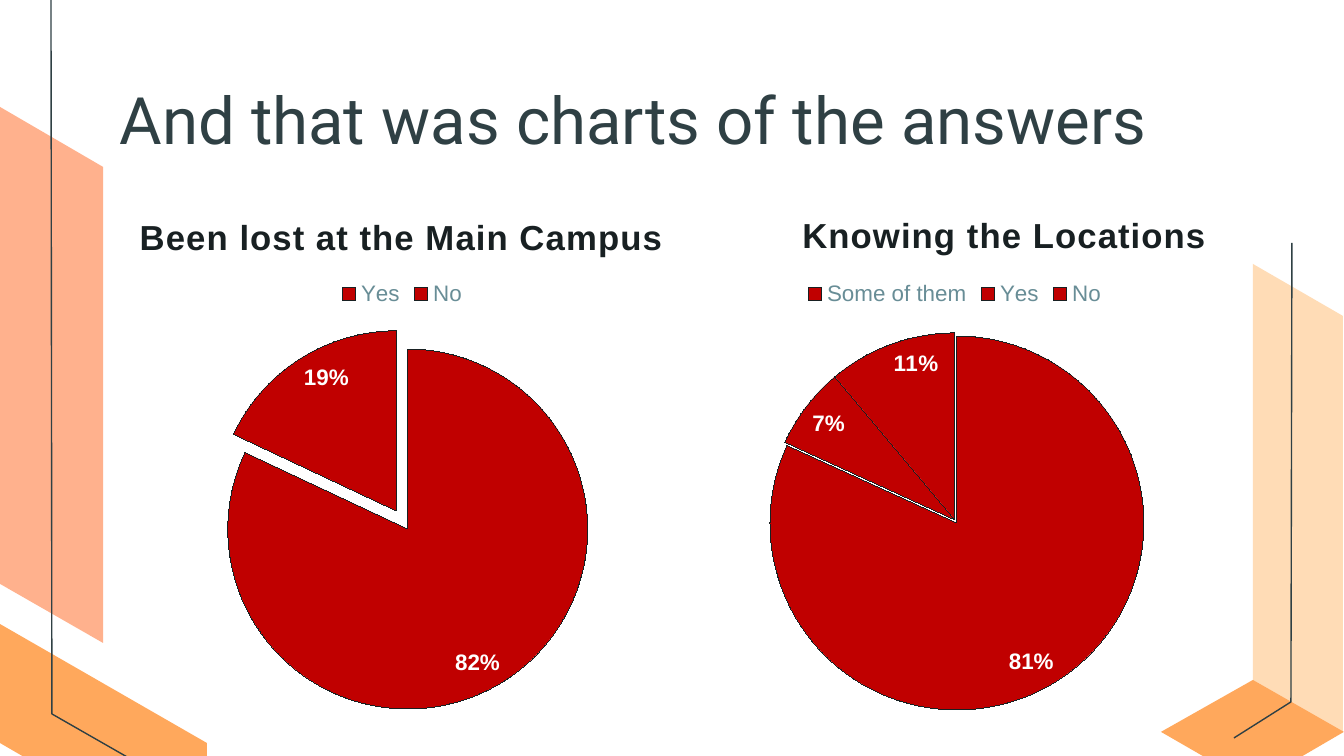
from pptx import Presentation
from pptx.chart.data import CategoryChartData
from pptx.dml.color import RGBColor
from pptx.enum import chart as ch, text
from pptx.oxml import parse_xml
from pptx.oxml.ns import nsdecls
from pptx.util import Pt

PX = 914400 / 134.4
INK, DARK, MUTED, RED, WHITE = "2F4044", "182022", "688D96", "C00000", "FFFFFF"

TITLE = ("And that was charts of the answers", (106, 79, 1133, 77))

# fill, corner points
PANELS = [
    ("FFDCB6", [(1253, 264), (1253, 680), (1343, 732), (1343, 316)]),
    ("FFA85C", [(1253, 785), (1344, 732), (1253, 680), (1161, 732)]),
    ("FFB18D", [(0, 107), (0, 584), (103, 643), (103, 167)]),
    ("FFA85C", [(0, 743), (0, 624), (207, 743), (207, 863)]),
]
LINES = [
    [(1234, 738), (1291, 702), (1292, 243)],
    [(51, -32), (52, 714), (267, 837)],
]
# title_at, legend_at and pie are slide positions; explode is per slice;
# label replaces the computed percentage of one slice (index, text)
CHARTS = [
    dict(title="Been lost at the Main Campus", series="Been lost at the Main Campus",
         data={"Yes": 82, "No": 18}, explode=(6, 6), label=(1, "19%"),
         box=(23, 190, 757, 540),
         title_at=None, legend_at=(335, 277), pie=(222, 340, 360, 360)),
    dict(title="Knowing the Locations", series="Series 1",
         data={"Some of them": 81, "Yes": 7, "No": 11}, explode=(2, 0, 0),
         label=(0, "81%"), box=(672, 190, 566, 540),
         title_at=(796, 206), legend_at=(801, 277), pie=(768, 333, 374, 374)),
]


def px(*values):
    return [round(v * PX) for v in values]


def rgb(color):
    return RGBColor.from_string(color)


def set_font(font, size, color, name="Arial", bold=False):
    font.size, font.name, font.bold = Pt(size), name, bold
    font.color.rgb = rgb(color)


def draw_outline(shapes, points, fill=None):
    """Filled panel when a fill is given, otherwise an open thin line."""
    builder = shapes.build_freeform(*points[0], scale=PX)
    builder.add_line_segments(points[1:], close=fill is not None)
    sp = builder.convert_to_shape()
    sp.shadow.inherit = False
    if fill:
        sp.fill.solid()
        sp.fill.fore_color.rgb = rgb(fill)
        sp.line.fill.background()
    else:
        sp.fill.background()
        sp.line.color.rgb = rgb(INK)
        sp.line.width = Pt(0.75)


def place(part, index, box, at, target=""):
    """Give a chart part a manual layout at a slide position (x, y[, w, h])."""
    for old in part.xpath("./c:layout"):
        part.remove(old)
    x, y, w, h = box
    fractions = zip("xywh", [(at[0] - x) / w, (at[1] - y) / h]
                    + [v / whole for v, whole in zip(at[2:], (w, h))])
    values = "".join(f'<c:{tag} val="{v:.4f}"/>' for tag, v in fractions)
    part.insert(index, parse_xml(
        f'<c:layout {nsdecls("c")}><c:manualLayout>{target}'
        f'<c:xMode val="edge"/><c:yMode val="edge"/>{values}'
        '</c:manualLayout></c:layout>'))


def add_labels(series, label):
    labels = series.data_labels
    labels.show_percentage, labels.show_value = True, False
    labels.number_format, labels.number_format_is_linked = "0%", False
    labels.position = ch.XL_LABEL_POSITION.INSIDE_END
    set_font(labels.font, 12, WHITE, bold=True)

    index, words = label
    own = series.points[index].data_label
    r = own.text_frame.paragraphs[0].add_run()
    r.text = words
    set_font(r.font, 12, WHITE, bold=True)
    own.position = ch.XL_LABEL_POSITION.INSIDE_END


def add_pie(shapes, spec):
    data = CategoryChartData()
    data.categories = list(spec["data"])
    data.add_series(spec["series"], list(spec["data"].values()))
    chart = shapes.add_chart(ch.XL_CHART_TYPE.PIE, *px(*spec["box"]), data).chart
    set_font(chart.font, 10, INK)

    p = chart.chart_title.text_frame.paragraphs[0]
    r = p.add_run()
    r.text = spec["title"]
    set_font(r.font, 18.6, DARK, bold=True)
    r.font._element.set("spc", "50")
    chart.chart_title.include_in_layout = False

    chart.has_legend = True
    chart.legend.position = ch.XL_LEGEND_POSITION.TOP
    chart.legend.include_in_layout = False
    set_font(chart.legend.font, 12, MUTED)

    plot = chart.plots[0]
    plot.vary_by_categories = True
    series = plot.series[0]
    series.format.line.color.rgb = rgb(DARK)
    series.format.line.width = Pt(0.75)
    for i, distance in enumerate(spec["explode"]):
        fmt = series.points[i].format
        fmt.fill.solid()
        fmt.fill.fore_color.rgb = rgb(RED)
        fmt.line.color.rgb = rgb(DARK)  # hairline: no width of its own
        slice_props = series._element.xpath("./c:dPt/c:spPr")[i]
        slice_props.addprevious(parse_xml(
            f'<c:explosion {nsdecls("c")} val="{distance}"/>'))
    add_labels(series, spec["label"])

    root, box = chart._chartSpace, spec["box"]
    if spec["title_at"]:
        place(root.xpath("./c:chart/c:title")[0], 1, box, spec["title_at"])
    place(root.xpath("./c:chart/c:legend")[0], 1, box, spec["legend_at"])
    place(root.xpath("./c:chart/c:plotArea")[0], 0, box, spec["pie"],
          '<c:layoutTarget val="inner"/>')


def add_title(slide, words, box):
    title = slide.shapes.title
    title.left, title.top, title.width, title.height = px(*box)
    tf = title.text_frame
    tf.text = words
    tf.word_wrap = True
    tf.auto_size = text.MSO_AUTO_SIZE.NONE
    tf.vertical_anchor = text.MSO_ANCHOR.TOP
    tf.margin_top = 0
    tf.margin_left = tf.margin_right = tf.margin_bottom = Pt(7.2)
    p = tf.paragraphs[0]
    p.alignment = text.PP_ALIGN.LEFT
    set_font(p.font, 35, INK, "Roboto")


def main():
    prs = Presentation()
    prs.slide_width, prs.slide_height = px(1344, 756)
    slide = prs.slides.add_slide(prs.slide_layouts[5])
    for fill, corners in PANELS:
        draw_outline(slide.shapes, corners, fill)
    for points in LINES:
        draw_outline(slide.shapes, points)
    add_title(slide, *TITLE)
    for spec in CHARTS:
        add_pie(slide.shapes, spec)
    prs.save("out.pptx")


if __name__ == "__main__":
    main()
